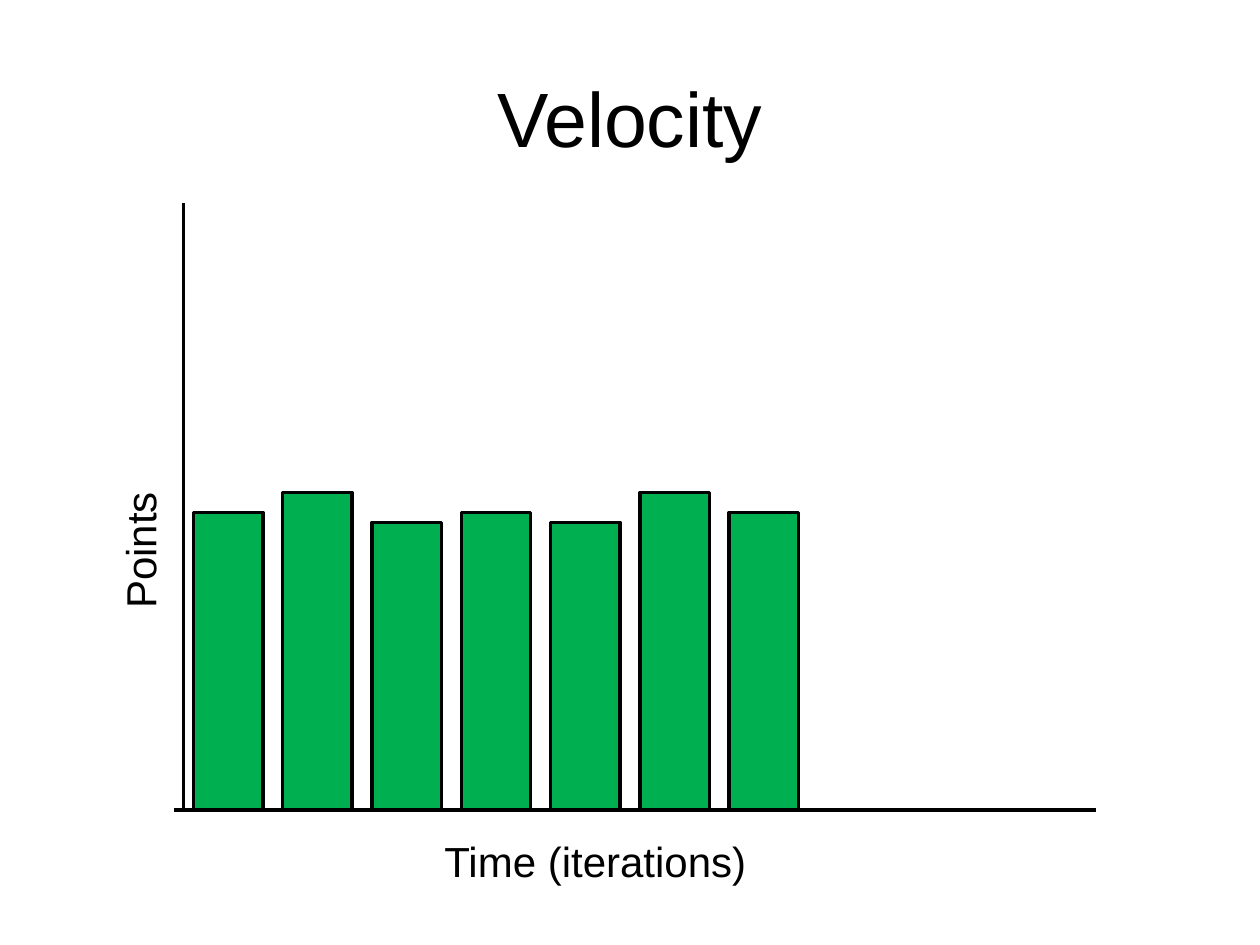
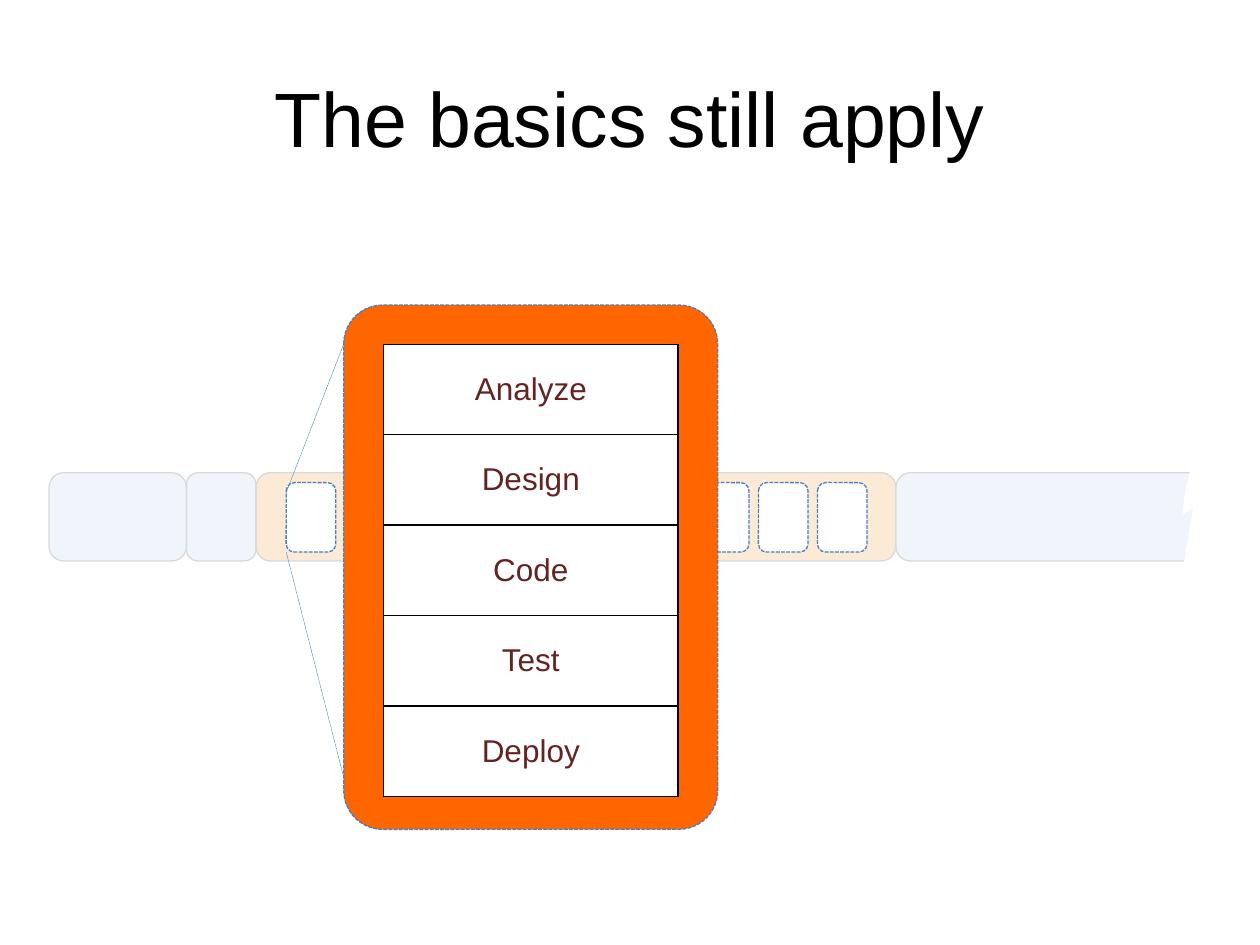
from typing import NamedTuple

from lxml import etree
from pptx import Presentation
from pptx import util as u
from pptx.dml.color import RGBColor
from pptx.enum import dml, shapes, text
from pptx.oxml.ns import qn


class Theme:
    font = "Arial"
    title_size, axis_size, step_size = 44, 24, 18
    black, white = "000000", "FFFFFF"
    bar = "00B050"
    phase, build_phase, phase_line = "C6D9F1", "F1AC5E", "D9D9D9"
    panel, iteration_line, zoom_line = "FF6600", "4B7EBC", "4F81BD"
    step_text = "632523"


class Box(NamedTuple):
    """Left, top, width and height in centimetres."""
    x: float
    y: float
    w: float
    h: float

    @property
    def right(self):
        return self.x + self.w

    @property
    def bottom(self):
        return self.y + self.h

    @property
    def emu(self):
        return [u.Cm(v) for v in self]


SLIDE = Box(0, 0, 25.4, 19.05)
TITLE = Box(1.27, 0.76, 22.86, 3.18)
CHART = Box(3.7, 4.1, 18.4, 12.23)
STRIP = Box(0.99, 9.53, 23.57, 1.78)
PANEL = Box(6.93, 6.15, 7.54, 10.57)


def rgb(colour):
    return RGBColor.from_string(colour)


def style_run(r, size, colour):
    r.font.name = Theme.font
    r.font.size = u.Pt(size)
    r.font.color.rgb = rgb(colour)


def style_line(line, colour, width, dashed=False):
    line.color.rgb = rgb(colour)
    line.width = u.Pt(width)
    if dashed:
        line.dash_style = dml.MSO_LINE.SQUARE_DOT


def add_text(s, box, words, size, align=text.PP_ALIGN.LEFT):
    sp = s.shapes.add_textbox(*box.emu)
    tf = sp.text_frame
    tf.word_wrap = True
    tf.text = words
    p = tf.paragraphs[0]
    p.alignment = align
    style_run(p.runs[0], size, Theme.black)
    return sp


def add_box(s, kind, box, fill, line, width, dashed=False, opacity=100):
    sp = s.shapes.add_shape(kind, *box.emu)
    sp.shadow.inherit = False
    sp.fill.solid()
    sp.fill.fore_color.rgb = rgb(fill)
    if opacity < 100:
        colour = sp.fill._xPr.find(f"{qn('a:solidFill')}/{qn('a:srgbClr')}")
        etree.SubElement(colour, qn("a:alpha"), val=str(opacity * 1000))
    style_line(sp.line, line, width, dashed)
    return sp


def add_line(s, start, end, colour, width, dashed=False):
    cx = s.shapes.add_connector(shapes.MSO_CONNECTOR.STRAIGHT,
                                *(u.Cm(v) for v in start + end))
    etree.SubElement(cx._element.spPr, qn("a:effectLst"))
    style_line(cx.line, colour, width, dashed)


def add_slide(prs, title):
    s = prs.slides.add_slide(prs.slide_layouts[6])
    sp = add_text(s, TITLE, title, Theme.title_size, text.PP_ALIGN.CENTER)
    sp.text_frame.vertical_anchor = text.MSO_ANCHOR.MIDDLE
    return s


def draw_velocity(s, box):
    """Bars standing on a pair of axes, with a label along each axis."""
    first, step, width, overhang = 0.2, 1.8, 1.4, 0.2
    add_line(s, (box.x, box.y), (box.x, box.bottom), Theme.black, 2)
    add_line(s, (box.x - overhang, box.bottom), (box.right, box.bottom),
             Theme.black, 2)
    for i, height in enumerate((6, 6.4, 5.8, 6, 5.8, 6.4, 6)):
        bar = Box(box.x + first + i * step, box.bottom - height, width, height)
        add_box(s, shapes.MSO_SHAPE.RECTANGLE, bar, Theme.bar, Theme.black, 2)

    points = Box(box.x - 2.79, box.y + 5.88, 3.81, 1.27)
    time = Box(box.x + 5.01, box.bottom + 0.38, 7.01, 1.27)
    add_text(s, points, "Points", Theme.axis_size).rotation = 270
    add_text(s, time, "Time (iterations)", Theme.axis_size)


def curve(p0, p1, p2, p3, steps=12):
    """Points along a cubic Bezier curve, without its start."""
    for i in range(1, steps + 1):
        t = i / steps
        weights = ((1 - t) ** 3, 3 * t * (1 - t) ** 2, 3 * t * t * (1 - t), t ** 3)
        yield tuple(sum(k * p[axis] for k, p in zip(weights, (p0, p1, p2, p3)))
                    for axis in (0, 1))


def draw_torn_end(s, box):
    """White outline that hides the right end of the strip."""
    start, low, corner = (-0.46, -0.48), (-0.71, 0.84), (0.3, 2.26)
    outline = [*curve(start, (-0.56, -0.03), (-0.71, 0.38), low),
               (-0.51, 0.71), (-0.76, 2.23), corner,
               *curve(corner, (0.28, -0.56), (0.84, -0.53), (0.25, -0.53))]

    def place(point):
        return u.Cm(box.right + point[0]), u.Cm(box.y + point[1])

    builder = s.shapes.build_freeform(*place(start))
    builder.add_line_segments([place(p) for p in outline])
    sp = builder.convert_to_shape()
    sp.shadow.inherit = False
    sp.fill.solid()
    sp.fill.fore_color.rgb = rgb(Theme.white)
    sp.line.fill.background()


def draw_strip(s, box):
    """Project phases in a row; returns the first iteration's box."""
    rounded = shapes.MSO_SHAPE.ROUNDED_RECTANGLE
    phases = ((2.77, Theme.phase), (1.4, Theme.phase),
              (12.9, Theme.build_phase), (6.5, Theme.phase))
    x = box.x
    for width, fill in phases:
        add_box(s, rounded, Box(x, box.y, width, box.h), fill,
                Theme.phase_line, 0.75, opacity=25)
        x += width
    draw_torn_end(s, box)

    first, pitch = Box(box.x + 4.78, box.y + 0.2, 1, 1.4), 1.19
    for slot in (0, 7, 8, 9):
        add_box(s, rounded, first._replace(x=first.x + slot * pitch),
                Theme.white, Theme.iteration_line, 0.75, dashed=True)
    return first


def add_borders(cell, colour, width):
    tc_pr = cell._tc.get_or_add_tcPr()
    for side in "LRTB":
        ln = etree.SubElement(tc_pr, qn(f"a:ln{side}"), w=str(u.Pt(width)))
        fill = etree.SubElement(ln, qn("a:solidFill"))
        etree.SubElement(fill, qn("a:srgbClr"), val=colour)


def draw_steps(s, box):
    steps = ("Analyze", "Design", "Code", "Test", "Deploy")
    table = s.shapes.add_table(len(steps), 1, *box.emu).table
    table.first_row = table.horz_banding = False
    for row, step in enumerate(steps):
        cell = table.cell(row, 0)
        add_borders(cell, Theme.black, 1)
        cell.fill.solid()
        cell.fill.fore_color.rgb = rgb(Theme.white)
        cell.vertical_anchor = text.MSO_ANCHOR.MIDDLE
        cell.text_frame.text = step
        p = cell.text_frame.paragraphs[0]
        p.alignment = text.PP_ALIGN.CENTER
        style_run(p.runs[0], Theme.step_size, Theme.step_text)


def draw_zoom_panel(s, box, iteration):
    """Enlarged iteration with its steps, tied to the small one by two lines."""
    zoom = ((iteration.y + 0.2, (box.x, box.y + 0.78)),
            (iteration.bottom, (box.x + 0.2, box.bottom - 0.26)))
    for y, end in zoom:
        add_line(s, (iteration.x, y), end, Theme.zoom_line, 0.25, dashed=True)
    sp = add_box(s, shapes.MSO_SHAPE.ROUNDED_RECTANGLE, box, Theme.panel,
                 Theme.iteration_line, 0.75, dashed=True)
    sp.adjustments[0] = 0.104
    side, top = 0.8, 0.79
    draw_steps(s, Box(box.x + side, box.y + top, box.w - 2 * side, 9.12))


def main():
    prs = Presentation()
    prs.slide_width, prs.slide_height = u.Cm(SLIDE.w), u.Cm(SLIDE.h)
    draw_velocity(add_slide(prs, "Velocity"), CHART)
    s = add_slide(prs, "The basics still apply")
    draw_zoom_panel(s, PANEL, draw_strip(s, STRIP))
    prs.save("out.pptx")


if __name__ == "__main__":
    main()
